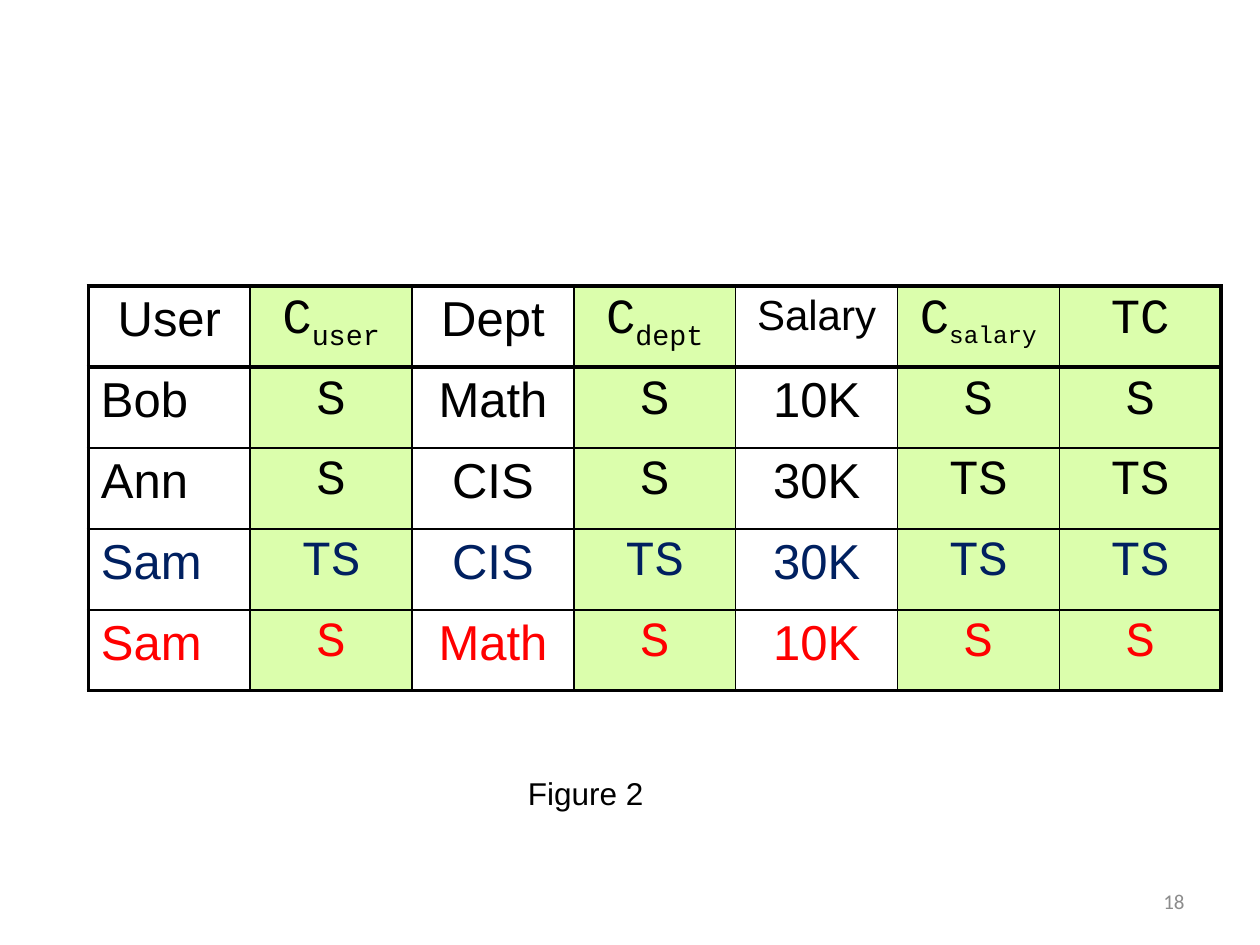
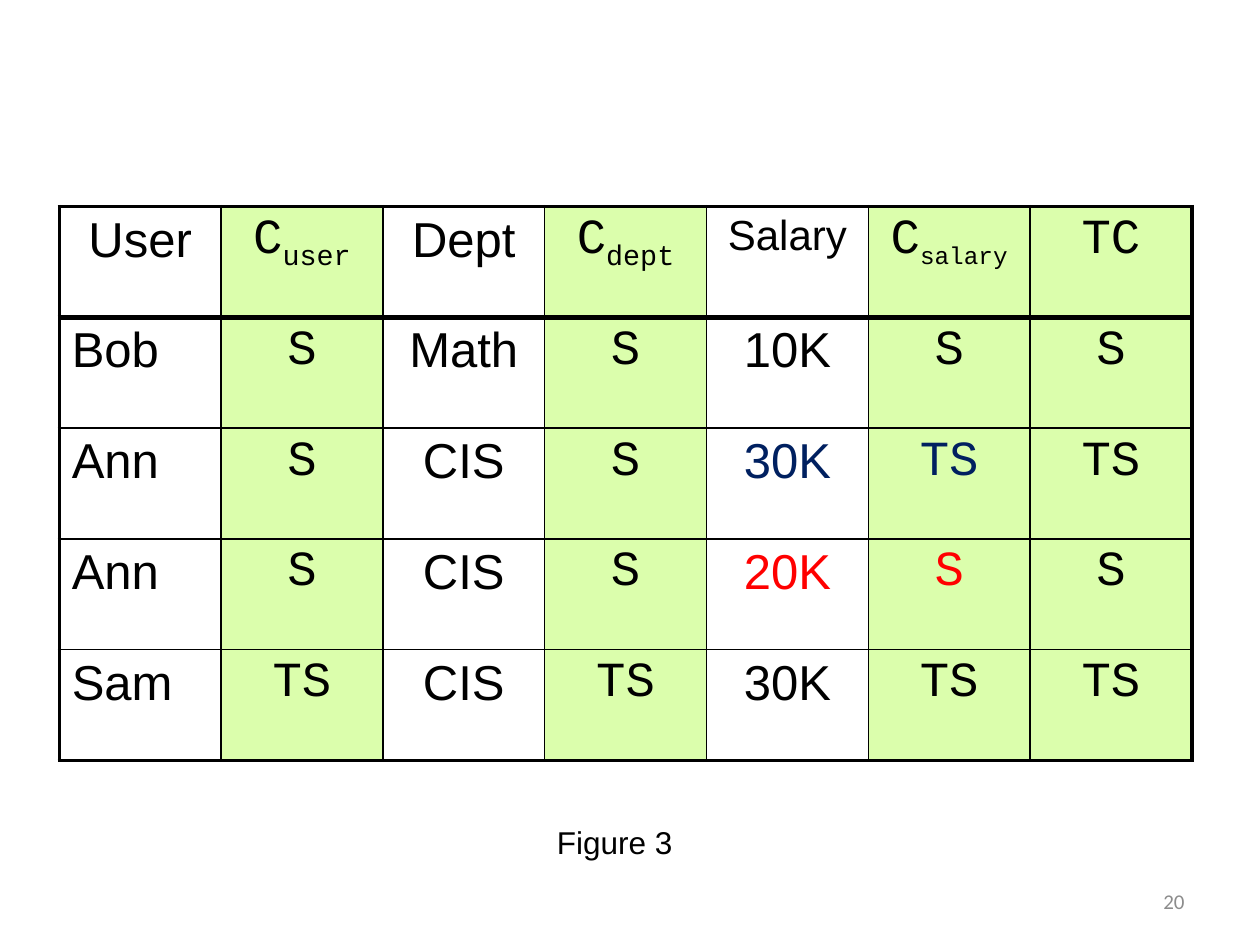
"""Build two slides of multilevel relation tables with captions and page numbers."""
from dataclasses import dataclass, field

import lxml.etree
import pptx
import pptx.dml.color
import pptx.enum.text
import pptx.oxml.ns
import pptx.util

Pt = pptx.util.Pt
Align = pptx.enum.text.PP_ALIGN
Anchor = pptx.enum.text.MSO_ANCHOR
qn = pptx.oxml.ns.qn

COLORS = {"black": "000000", "green": "DBFEAC", "navy": "002060", "red": "FF0000", "gray": "8C8C8C"}
SANS, MONO, FOOT = "Arial", "Courier New", "Calibri"
HEADS = ["User", "C_user", "Dept", "C_dept", "Salary", "C_salary", "TC"]
LABELS = {1, 3, 5, 6}
WIDTH = 92.47
THIN, EDGE, RULE = 1, 2.25, 3


@dataclass
class Page:
    number: int
    left: float
    top: float
    height: float
    rows: list[str]
    caption: str
    note_left: float
    note_top: float
    inks: dict[tuple[int, int], str] = field(default_factory=dict)


PAGES = [
    Page(18, 50.5, 163.5, 46.25,
         ["Bob S Math S 10K S S", "Ann S CIS S 30K TS TS",
          "Sam TS CIS TS 30K TS TS", "Sam S Math S 10K S S"],
         "Figure 2", 247.7, 438.5,
         {(row, col): ink for row, ink in ((3, "navy"), (4, "red")) for col in range(7)}),
    Page(20, 33.85, 118, 63.3,
         ["Bob S Math S 10K S S", "Ann S CIS S 30K TS TS",
          "Ann S CIS S 20K S S", "Sam TS CIS TS 30K TS TS"],
         "Figure 3", 264.25, 466.55,
         {(row, col): ink for row, ink in ((2, "navy"), (3, "red")) for col in (4, 5)}),
]


def write(frame, text: str, *, size: float = 28, font: str = SANS, ink: str = "black",
          align=Align.CENTER, gap: int = 0, sub_size: float = 28) -> None:
    """Write one paragraph, lowering whatever follows an underscore."""
    para = frame.paragraphs[0]
    para.alignment = align
    if gap:
        space = lxml.etree.SubElement(para._p.get_or_add_pPr(), qn("a:spcBef"))
        lxml.etree.SubElement(space, qn("a:spcPct")).set("val", str(gap * 1000))
    for place, part in enumerate(text.split("_")):
        run = para.add_run()
        run.text = part
        run.font.name = font
        run.font.size = Pt(sub_size if place else size)
        run.font.color.rgb = pptx.dml.color.RGBColor.from_string(COLORS[ink])
        if place:
            run._r.get_or_add_rPr().set("baseline", "-25000")


def border(cell, sides: dict[str, float]) -> None:
    """Draw solid black lines on the sides of a cell."""
    props = cell._tc.get_or_add_tcPr()
    for side, width in sides.items():
        line = lxml.etree.SubElement(props, qn(f"a:ln{side}"), w=str(Pt(width)))
        fill = lxml.etree.SubElement(line, qn("a:solidFill"))
        lxml.etree.SubElement(fill, qn("a:srgbClr"), val=COLORS["black"])


def add_grid(slide, page: Page) -> None:
    """Add the relation table of a page."""
    lines = [HEADS] + [row.split() for row in page.rows]
    high, wide = len(lines), len(HEADS)
    grid = slide.shapes.add_table(high, wide, Pt(page.left), Pt(page.top),
                                  Pt(WIDTH * wide), Pt(page.height * high)).table
    grid.first_row = grid.horz_banding = False
    for col in grid.columns:
        col.width = Pt(WIDTH)
    for row, words in enumerate(lines):
        grid.rows[row].height = Pt(page.height)
        for col, word in enumerate(words):
            cell = grid.cell(row, col)
            border(cell, {
                "L": EDGE if col == 0 else THIN,
                "R": EDGE if col == wide - 1 else THIN,
                "T": {0: EDGE, 1: RULE}.get(row, THIN),
                "B": {0: RULE, high - 1: EDGE}.get(row, THIN),
            })
            if col in LABELS:
                cell.fill.solid()
                cell.fill.fore_color.rgb = pptx.dml.color.RGBColor.from_string(COLORS["green"])
            else:
                cell.fill.background()
            write(cell.text_frame, word, gap=20,
                  size=24 if word == "Salary" else 28,
                  sub_size=24 if word == "C_salary" else 28,
                  font=MONO if col in LABELS else SANS,
                  ink=page.inks.get((row, col), "black"),
                  align=Align.LEFT if row and col == 0 else Align.CENTER)


def add_text(slide, text: str, left: float, top: float, width: float,
             anchor=Anchor.TOP, **style) -> None:
    """Add a wrapped text box with one paragraph."""
    frame = slide.shapes.add_textbox(Pt(left), Pt(top), Pt(width), Pt(28.8)).text_frame
    frame.word_wrap = True
    frame.vertical_anchor = anchor
    write(frame, text, **style)


def main() -> None:
    """Build and save the deck."""
    deck = pptx.Presentation()
    deck.slide_width, deck.slide_height = Pt(720), Pt(540)
    for page in PAGES:
        slide = deck.slides.add_slide(deck.slide_layouts[6])
        add_grid(slide, page)
        add_text(slide, page.caption, page.note_left, page.note_top, 174, size=18, gap=50)
        add_text(slide, str(page.number), 516, 500.5, 168, Anchor.MIDDLE,
                 size=12, font=FOOT, ink="gray", align=Align.RIGHT)
    deck.save("out.pptx")


if __name__ == "__main__":
    main()
